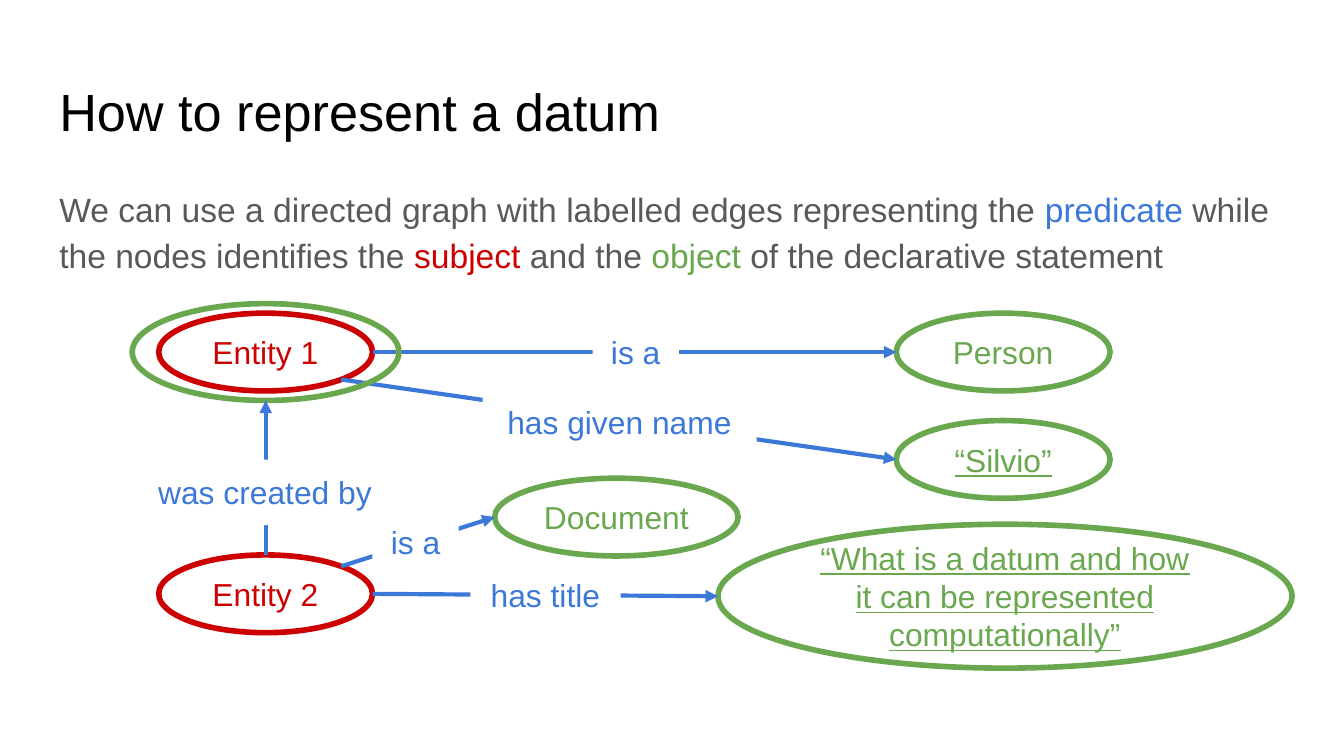
import math

import pptx
import pptx.dml.color
import pptx.enum.dml
import pptx.enum.shapes
import pptx.enum.text
import pptx.oxml
import pptx.oxml.ns
import pptx.util
from pptx.util import Cm

SUBJECT, PREDICATE, OBJECT = "CC0000", "3C78D8", "6AA84F"
GREY, BLACK, WHITE = "595959", "000000", "FFFFFF"
NODE_W, NODE_H, LABEL_H = 4.04, 1.47, 1.24
LEFT_X, RIGHT_X = 3, 16.94
RIGHT, LOWER_RIGHT, BOTTOM, LEFT, TOP, UPPER_RIGHT = 0, 45, 90, 180, 270, 315


def rgb(color):
    """Turn a hex string into a colour."""
    return pptx.dml.color.RGBColor.from_string(color)


def style_run(r, size, color, underline=None):
    """Set the font of a run."""
    r.font.name = "Arial"
    r.font.size = pptx.util.Pt(size)
    r.font.color.rgb = rgb(color)
    r.font.underline = underline


def set_frame(tf, anchor):
    """Set the margins, wrapping and anchor of a text frame."""
    tf.word_wrap = True
    tf.auto_size = pptx.enum.text.MSO_AUTO_SIZE.NONE
    tf.vertical_anchor = anchor
    tf.margin_left = tf.margin_right = tf.margin_top = tf.margin_bottom = Cm(0.25)


def fill_placeholder(sp, box, runs, size):
    """Place a placeholder and write its coloured runs, left aligned."""
    sp.left, sp.top, sp.width, sp.height = (Cm(v) for v in box)
    set_frame(sp.text_frame, pptx.enum.text.MSO_ANCHOR.TOP)
    p = sp.text_frame.paragraphs[0]
    p.alignment = pptx.enum.text.PP_ALIGN.LEFT
    p.space_before = pptx.util.Pt(0)
    for text, color in runs:
        r = p.add_run()
        r.text = text
        style_run(r, size, color)
    return p


def remove_bullet(p):
    """Remove the bullet and indent of a paragraph."""
    pPr = p._p.get_or_add_pPr()
    pPr.set("marL", "0")
    pPr.set("indent", "0")
    pPr.append(pptx.oxml.parse_xml(f"<a:buNone {pptx.oxml.ns.nsdecls('a')}/>"))


def add_text(sp, text, color, anchor, underline=None):
    """Write centred text into a shape."""
    set_frame(sp.text_frame, anchor)
    sp.text_frame.text = text
    p = sp.text_frame.paragraphs[0]
    p.alignment = pptx.enum.text.PP_ALIGN.CENTER
    style_run(p.runs[0], 17, color, underline)


def add_node(shapes, box, color, text="", underline=None):
    """Add an outlined ellipse, with text if there is any."""
    sp = shapes.add_shape(pptx.enum.shapes.MSO_SHAPE.OVAL, *(Cm(v) for v in box))
    sp.shadow.inherit = False
    sp.fill.background()
    sp.line.color.rgb = rgb(color)
    sp.line.width = pptx.util.Pt(3)
    if text:
        add_text(sp, text, color, pptx.enum.text.MSO_ANCHOR.MIDDLE, underline)
    return sp


def rim_point(sp, angle):
    """Find the point of an ellipse at an angle, clockwise from the right."""
    t = math.radians(angle)
    return (round(sp.left + sp.width / 2 * (1 + math.cos(t))),
            round(sp.top + sp.height / 2 * (1 + math.sin(t))))


def add_arrow(shapes, start, end):
    """Add a straight arrow between two points."""
    c = shapes.add_connector(pptx.enum.shapes.MSO_CONNECTOR.STRAIGHT, *start, *end)
    c.line.color.rgb = rgb(PREDICATE)
    c.line.width = pptx.util.Pt(2.25)
    ns = pptx.oxml.ns.nsdecls("a")
    c.line._get_or_add_ln().append(pptx.oxml.parse_xml(f'<a:tailEnd {ns} type="triangle"/>'))
    c._element.spPr.append(pptx.oxml.parse_xml(f"<a:effectLst {ns}/>"))


def add_label(shapes, x, y, w, text):
    """Add a predicate label on a white rectangle."""
    sp = shapes.add_shape(pptx.enum.shapes.MSO_SHAPE.RECTANGLE, Cm(x), Cm(y), Cm(w), Cm(LABEL_H))
    sp.shadow.inherit = False
    sp.fill.solid()
    sp.fill.fore_color.rgb = rgb(WHITE)
    sp.line.fill.background()
    add_text(sp, text, PREDICATE, pptx.enum.text.MSO_ANCHOR.TOP)


def add_statement(s, subject, leave, node, arrive, label):
    """Add a group of an object node, its arrow and its label."""
    shapes = s.shapes.add_group_shape().shapes
    target = add_node(shapes, *node)
    add_arrow(shapes, rim_point(subject, leave), rim_point(target, arrive))
    add_label(shapes, *label)


def main():
    """Build the slide."""
    prs = pptx.Presentation()
    prs.slide_width, prs.slide_height = Cm(25.4), Cm(14.29)
    s = prs.slides.add_slide(prs.slide_layouts[1])
    title, body = s.placeholders
    fill_placeholder(title, (0.87, 1.24, 23.67, 1.6), [("How to represent a datum", BLACK)], 28)
    p = fill_placeholder(body, (0.87, 3.2, 23.67, 2.72), [
        ("We can use a directed graph with labelled edges representing the ", GREY),
        ("predicate", PREDICATE),
        (" while the nodes identifies the ", GREY),
        ("subject", SUBJECT),
        (" and the ", GREY),
        ("object", OBJECT),
        (" of the declarative statement", GREY)], 18)
    p.line_spacing = 1.15
    p.space_after = pptx.util.Pt(16)
    remove_bullet(p)

    entity1 = add_node(s.shapes, (LEFT_X, 5.92, NODE_W, NODE_H), SUBJECT, "Entity 1")
    entity2 = add_node(s.shapes, (LEFT_X, 10.49, NODE_W, NODE_H), SUBJECT, "Entity 2")
    statements = [
        (entity1, RIGHT, ((RIGHT_X, 5.92, NODE_W, NODE_H), OBJECT, "Person"),
         LEFT, (11.2, 6.05, 1.63, "is a")),
        (entity1, LOWER_RIGHT, ((RIGHT_X, 7.95, NODE_W, NODE_H), OBJECT, "“Silvio”", True),
         LEFT, (9.12, 7.37, 5.18, "has given name")),
        (entity2, RIGHT, ((13.57, 9.91, 10.85, 2.72), OBJECT,
                          "“What is a datum and how it can be represented computationally”", True),
         LEFT, (8.89, 10.64, 2.84, "has title")),
        (entity2, TOP, ((2.5, 5.74, 5.04, 1.83), OBJECT),
         BOTTOM, (2.57, 8.69, 4.88, "was created by")),
        (entity2, UPPER_RIGHT, ((9.35, 9.04, 4.6, NODE_H), OBJECT, "Document"),
         LEFT, (7.04, 9.63, 1.63, "is a")),
    ]
    for statement in statements:
        add_statement(s, *statement)
    prs.save("out.pptx")


if __name__ == "__main__":
    main()
